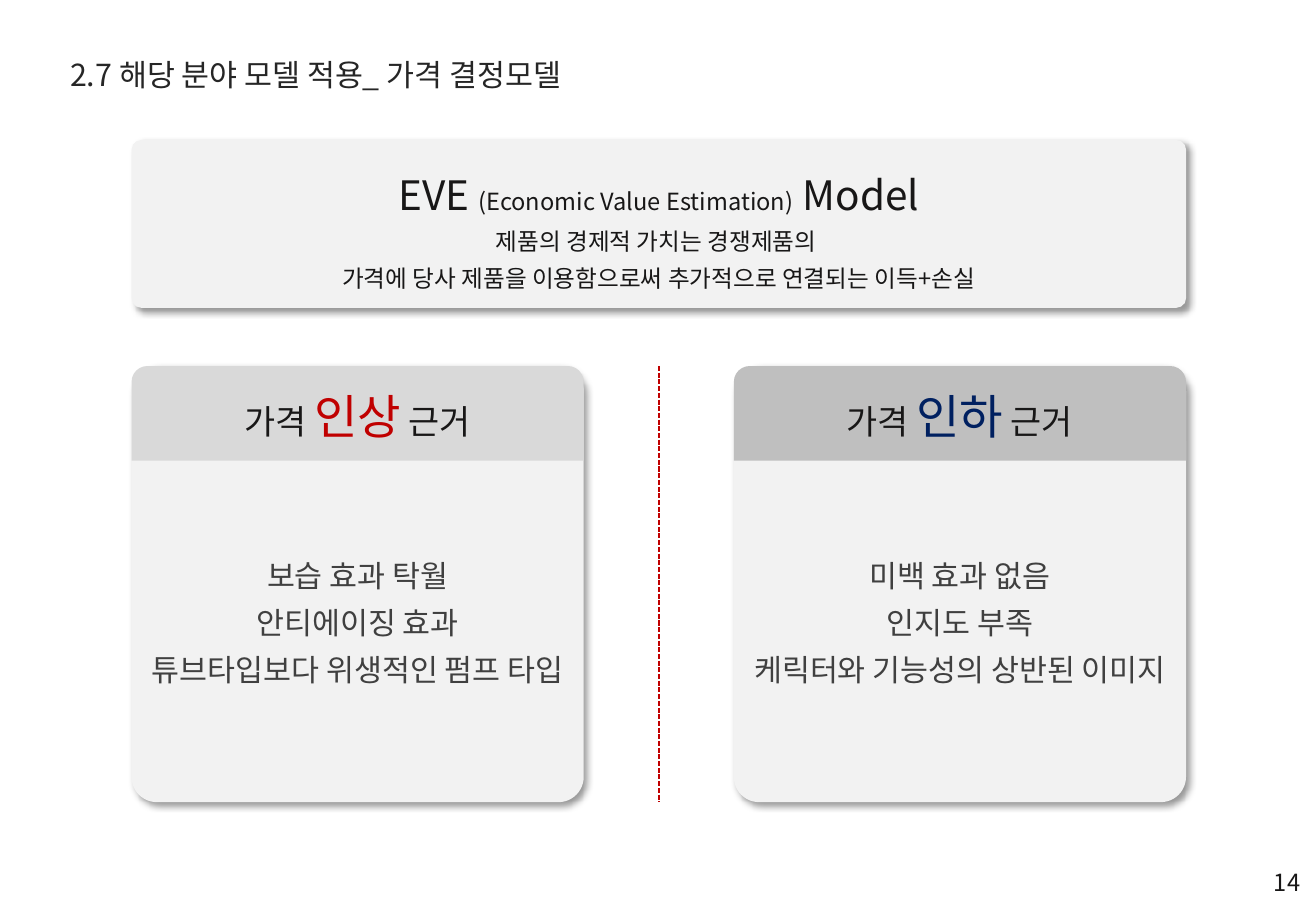
from dataclasses import dataclass

import pptx
import pptx.dml.color
import pptx.enum.dml
import pptx.enum.shapes
import pptx.enum.text
import pptx.oxml
import pptx.oxml.ns
import pptx.util

Pt = pptx.util.Pt
SHAPE = pptx.enum.shapes.MSO_SHAPE
ALIGN = pptx.enum.text.PP_ALIGN

COLORS = {
    "title": "262626", "text": "181717", "body": "404040", "panel": "F2F2F2",
    "raise_head": "D9D9D9", "cut_head": "BFBFBF", "red": "C00000", "navy": "002060",
}
SANS, LATIN = "Noto Sans CJK KR", "Roboto"
LEFT, CARD_W, CARD_TOP, CARD_H, HEAD_H = 78, 268, 217, 258.5, 56
RIGHT = 435
CENTER = (LEFT + RIGHT + CARD_W) / 2


@dataclass
class Run:
    text: str
    size: float
    color: str = "text"
    font: str = SANS


@dataclass
class Box:
    left: float
    top: float
    width: float
    height: float


@dataclass
class Card:
    left: float
    head_fill: str
    word: str
    word_color: str
    reasons: list[str]


CARDS = [
    Card(LEFT, "raise_head", "인상", "red",
         ["보습 효과 탁월", "안티에이징 효과", "튜브타입보다 위생적인 펌프 타입"]),
    Card(RIGHT, "cut_head", "인하", "navy",
         ["미백 효과 없음", "인지도 부족", "케릭터와 기능성의 상반된 이미지"]),
]


def rgb(name: str) -> pptx.dml.color.RGBColor:
    return pptx.dml.color.RGBColor.from_string(COLORS[name])


def add_effects(s, inner: str = "") -> None:
    ns = pptx.oxml.ns.nsdecls("a")
    s._element.spPr.append(pptx.oxml.parse_xml(f"<a:effectLst {ns}>{inner}</a:effectLst>"))


def write(tf, lines: list[list[Run]], align=ALIGN.CENTER, spacing: float | None = None) -> None:
    for i, runs in enumerate(lines):
        p = tf.paragraphs[0] if i == 0 else tf.add_paragraph()
        p.alignment = align
        if spacing:
            p.line_spacing = spacing
        for run in runs:
            r = p.add_run()
            r.text = run.text
            r.font.size = Pt(run.size)
            r.font.name = run.font
            r.font.color.rgb = rgb(run.color)
            ea = pptx.oxml.parse_xml(
                f'<a:ea {pptx.oxml.ns.nsdecls("a")} typeface="{SANS}"/>')
            r.font._element.append(ea)


def add_text(slide, box: Box, lines: list[list[Run]], align=ALIGN.LEFT,
             spacing: float | None = None, wrap: bool = True) -> None:
    s = slide.shapes.add_textbox(Pt(box.left), Pt(box.top), Pt(box.width), Pt(box.height))
    tf = s.text_frame
    tf.word_wrap = wrap
    tf.auto_size = pptx.enum.text.MSO_AUTO_SIZE.SHAPE_TO_FIT_TEXT
    write(tf, lines, align, spacing)


def add_panel(slide, kind, box: Box, fill: str):
    s = slide.shapes.add_shape(kind, Pt(box.left), Pt(box.top), Pt(box.width), Pt(box.height))
    s.fill.solid()
    s.fill.fore_color.rgb = rgb(fill)
    s.line.fill.background()
    s.text_frame.vertical_anchor = pptx.enum.text.MSO_ANCHOR.MIDDLE
    if kind == SHAPE.ROUNDED_RECTANGLE:
        s.adjustments[0] = 0.058
        add_effects(s, f'<a:outerShdw blurRad="{Pt(4)}" dist="{Pt(3)}" dir="2700000" '
                       'algn="tl" rotWithShape="0"><a:srgbClr val="000000">'
                       '<a:alpha val="40000"/></a:srgbClr></a:outerShdw>')
    else:
        s.shadow.inherit = False
    return s


def add_card(slide, card: Card) -> None:
    add_panel(slide, SHAPE.ROUNDED_RECTANGLE,
              Box(card.left, CARD_TOP, CARD_W, CARD_H), "panel")
    head = add_panel(slide, SHAPE.ROUND_2_SAME_RECTANGLE,
                     Box(card.left, CARD_TOP, CARD_W, HEAD_H), card.head_fill)
    write(head.text_frame, [[Run("가격 ", 20, font=LATIN),
                             Run(card.word, 28, card.word_color, LATIN),
                             Run(" 근거", 20, font=LATIN)]])
    add_text(slide, Box(card.left, 320, CARD_W, 91),
             [[Run(reason, 18, "body")] for reason in card.reasons], ALIGN.CENTER, 1.3)


def main() -> None:
    prs = pptx.Presentation()
    prs.slide_width, prs.slide_height = Pt(780), Pt(540)
    slide = prs.slides.add_slide(prs.slide_layouts[6])

    # Title
    add_text(slide, Box(34.5, 30, 485, 29),
             [[Run("2.7 해당 분야 모델 적용_ 가격 결정모델", 18, "title")]])

    # Model definition
    model = add_panel(slide, SHAPE.ROUNDED_RECTANGLE,
                      Box(LEFT, 83, RIGHT + CARD_W - LEFT, 99.5), "panel")
    write(model.text_frame, [
        [Run("EVE ", 24), Run("(Economic Value Estimation)", 14), Run(" Model", 24)],
        [Run("제품의 경제적 가치는 경쟁제품의 ", 14)],
        [Run("가격에 당사 제품을 이용함으로써 추가적으로 연결되는 이득+손실", 14)],
    ], spacing=1.3)

    # Reasons for raising and cutting the price
    for card in CARDS:
        add_card(slide, card)

    # Divider
    divider = slide.shapes.add_connector(
        pptx.enum.shapes.MSO_CONNECTOR.STRAIGHT,
        Pt(CENTER), Pt(CARD_TOP), Pt(CENTER), Pt(CARD_TOP + CARD_H))
    divider.line.color.rgb = rgb("red")
    divider.line.width = Pt(1)
    divider.line.dash_style = pptx.enum.dml.MSO_LINE.SQUARE_DOT
    add_effects(divider)

    # Page number
    add_text(slide, Box(748, 511, 30, 24.5), [[Run("14", 14)]], wrap=False)

    prs.save("out.pptx")


if __name__ == "__main__":
    main()
